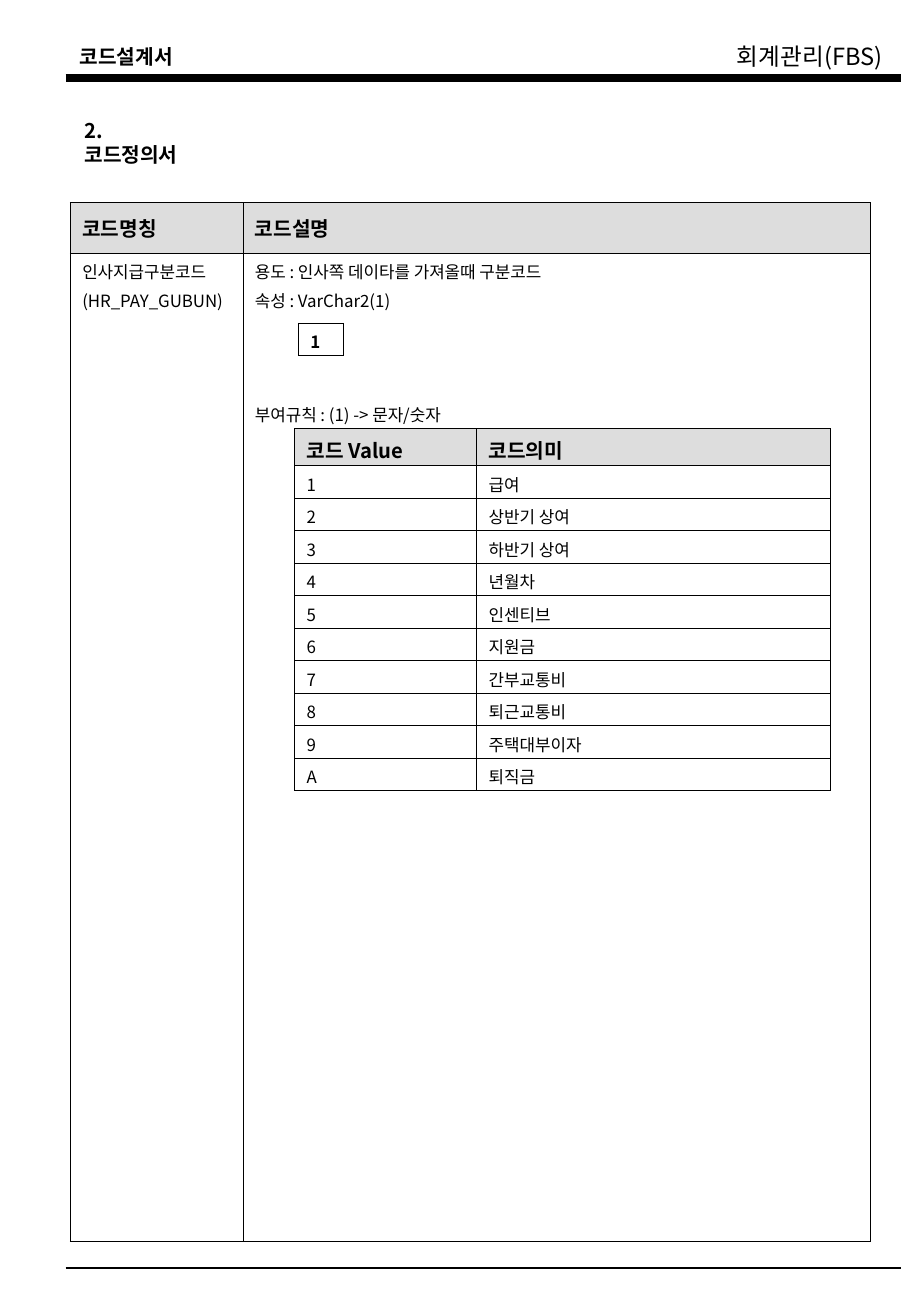
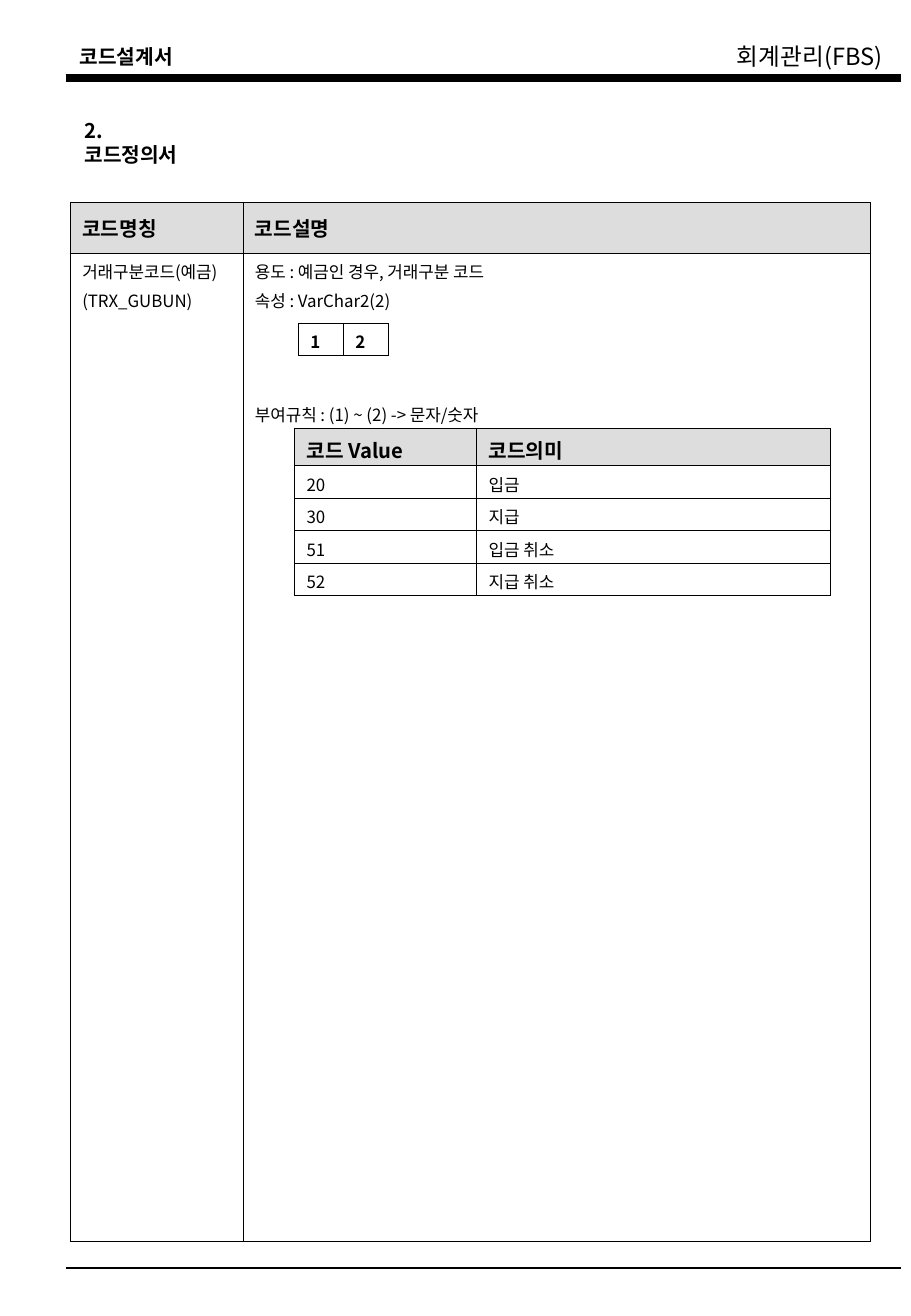
import pptx
import pptx.dml.color
import pptx.enum.shapes
import pptx.enum.text
import pptx.oxml
import pptx.oxml.ns
import pptx.util

Cm = pptx.util.Cm
Pt = pptx.util.Pt
ANCHOR = pptx.enum.text.MSO_ANCHOR
COLORS = {"ink": "000000", "head": "DDDDDD"}
FONT = "Noto Sans CJK KR"

# Text formats
HEAD = {"name": FONT, "size": Pt(12), "bold": True}
BRAND = {"name": FONT, "size": Pt(14), "bold": False}
BODY = {"name": FONT, "size": Pt(10), "bold": False}
DIGIT = {"name": FONT, "size": Pt(10), "bold": True}

# Cell insets: full, and tight below for the low rows
FULL = {"margin_left": Cm(0.25), "margin_right": Cm(0.25),
        "margin_top": Cm(0.13), "margin_bottom": Cm(0.13)}
TIGHT = {**FULL, "margin_bottom": 0}
LOW = 0.68

PAGES = [
    {"name": ["인사지급구분코드", "(HR_PAY_GUBUN)"],
     "notes": ["용도 : 인사쪽 데이타를 가져올때 구분코드", "속성 : VarChar2(1)",
               "부여규칙 : (1) -> 문자/숫자"],
     "digits": ["1"],
     "codes": [("1", "급여"), ("2", "상반기 상여"), ("3", "하반기 상여"),
               ("4", "년월차"), ("5", "인센티브"), ("6", "지원금"),
               ("7", "간부교통비"), ("8", "퇴근교통비"),
               ("9", "주택대부이자"), ("A", "퇴직금")]},
    {"name": ["거래구분코드(예금)", "(TRX_GUBUN)"],
     "notes": ["용도 : 예금인 경우, 거래구분 코드", "속성 : VarChar2(2)",
               "부여규칙 : (1) ~ (2) -> 문자/숫자"],
     "digits": ["1", "2"],
     "codes": [("20", "입금"), ("30", "지급"), ("51", "입금 취소"),
               ("52", "지급 취소")]},
]


def color(key):
    return pptx.dml.color.RGBColor.from_string(COLORS[key])


def apply(target, values):
    for key, value in values.items():
        setattr(target, key, value)


def write(frame, lines, style, gaps=()):
    """Fill a text frame; gaps are the spaces before the later lines."""
    for i, line in enumerate(lines):
        para = frame.paragraphs[0] if i == 0 else frame.add_paragraph()
        if i:
            para.space_before = Pt(gaps[i - 1])
        run = para.add_run()
        run.text = line
        apply(run.font, style)
        run.font.color.rgb = color("ink")
        # East Asian face
        face = pptx.oxml.parse_xml(
            f'<a:ea {pptx.oxml.ns.nsdecls("a")} typeface="{FONT}"/>')
        run.font._element.append(face)


def label(slide, box, text, style):
    shape = slide.shapes.add_textbox(*map(Cm, box))
    shape.text_frame.word_wrap = True
    write(shape.text_frame, [text], style)


def rule(slide, left, right, top, weight):
    line = slide.shapes.add_connector(
        pptx.enum.shapes.MSO_CONNECTOR.STRAIGHT,
        Cm(left), Cm(top), Cm(right), Cm(top))
    line.line.width = Pt(weight)
    line.line.color.rgb = color("ink")
    line._element.spPr.append(pptx.oxml.parse_xml(
        f'<a:effectLst {pptx.oxml.ns.nsdecls("a")}/>'))


def border(cell, widths):
    """Draw the left, right, top and bottom edges, ahead of the fill."""
    props = cell._tc.get_or_add_tcPr()
    for i, (side, width) in enumerate(zip("LRTB", widths)):
        props.insert(i, pptx.oxml.parse_xml(
            f'<a:ln{side} {pptx.oxml.ns.nsdecls("a")} w="{Pt(width)}">'
            f'<a:solidFill><a:srgbClr val="{COLORS["ink"]}"/></a:solidFill>'
            f'</a:ln{side}>'))


def grid(slide, left, top, cols, rows, edge, inner=0.45, head=True):
    """Add a ruled table and return it with its header row shaded."""
    table = slide.shapes.add_table(
        len(rows), len(cols), Cm(left), Cm(top),
        Cm(sum(cols)), Cm(sum(rows))).table
    apply(table, {"first_row": False, "horz_banding": False})
    for col, width in zip(table.columns, cols):
        col.width = Cm(width)
    for row, height in zip(table.rows, rows):
        row.height = Cm(height)
    for r in range(len(rows)):
        for c in range(len(cols)):
            cell = table.cell(r, c)
            if head and r == 0:
                cell.fill.solid()
                cell.fill.fore_color.rgb = color("head")
            else:
                cell.fill.background()
            border(cell, (edge if c == 0 else 0.45,
                          edge if c == len(cols) - 1 else 0.45,
                          edge if r == 0 else 0.45 if r == 1 else inner,
                          edge if r == len(rows) - 1
                          else 0.45 if r == 0 else inner))
    return table


def fill(cell, lines, style, inset, gaps=(2.5,), anchor=ANCHOR.TOP):
    apply(cell, {**inset, "vertical_anchor": anchor})
    write(cell.text_frame, lines, style, gaps)


def frame(slide, left=1.37, right=18.85):
    """Header, footer and section title of every page."""
    label(slide, (left + 0.05, 0.81, 3, 0.76), "코드설계서", HEAD)
    rule(slide, left, right, 1.63, 4.5)
    rule(slide, left, right, 26.52, 1)
    label(slide, (right - 3.69, 0.76, 3.8, 0.86), "회계관리(FBS)", BRAND)
    label(slide, (left + 0.15, 2.34, 2.8, 0.76), "2. 코드정의서", HEAD)


def digits(slide, left, top, marks):
    """One small box per character of the code."""
    table = grid(slide, left, top, [0.94] * len(marks), [LOW], 0.45,
                 head=False)
    for c, mark in enumerate(marks):
        fill(table.cell(0, c), [mark], DIGIT, TIGHT)


def values(slide, left, top, codes):
    """Code values and their meanings."""
    table = grid(slide, left, top, [3.81, 7.4],
                 [0.77] + [LOW] * len(codes), 0.45, 0.34)
    for r, pair in enumerate([("코드 Value", "코드의미")] + codes):
        for c, text in enumerate(pair):
            fill(table.cell(r, c), [text], BODY if r else HEAD, TIGHT)


def sheet(slide, left, top, page):
    """Main table with the parts that lie in its right column."""
    table = grid(slide, left, top, [3.61, 13.12], [1.06, 20.67], 0.75)
    for c, text in enumerate(["코드명칭", "코드설명"]):
        fill(table.cell(0, c), [text], HEAD, FULL, anchor=ANCHOR.MIDDLE)
    fill(table.cell(1, 0), page["name"], BODY, FULL)
    fill(table.cell(1, 1), page["notes"], BODY, FULL, (2.5, 53))
    values(slide, left + 4.69, top + 4.73, page["codes"])
    digits(slide, left + 4.77, top + 2.52, page["digits"])


def main():
    deck = pptx.Presentation()
    apply(deck, {"slide_width": Cm(19.05), "slide_height": Cm(27.53)})
    for page in PAGES:
        slide = deck.slides.add_slide(deck.slide_layouts[6])
        frame(slide)
        sheet(slide, 1.47, 4.24, page)
    deck.save("out.pptx")


if __name__ == "__main__":
    main()
